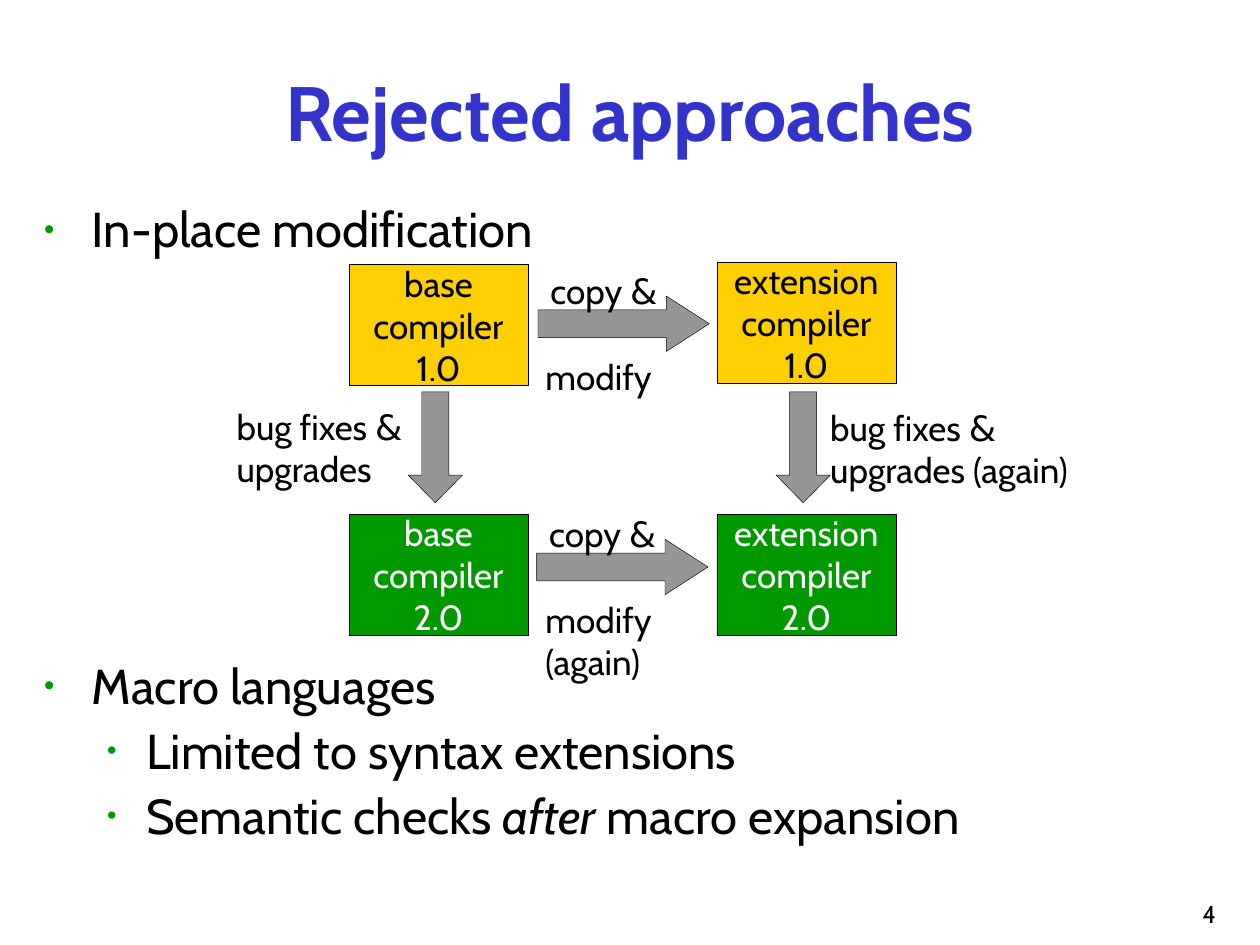
from dataclasses import dataclass
from typing import NamedTuple

from lxml import etree
from pptx import Presentation
from pptx import util as u
from pptx.dml.color import RGBColor
from pptx.enum import shapes, text
from pptx.oxml.ns import qn


@dataclass(frozen=True)
class Theme:
    font: str = "Cabin"
    sign: str = "DejaVu Sans"
    ink: str = "000000"
    pale: str = "FFFFFF"
    head: str = "3333CC"
    gold: str = "FFCF01"
    green: str = "009900"
    gray: str = "969696"
    title: int = 44
    body: int = 28
    label: int = 20
    page: int = 14


class Area(NamedTuple):
    left: float
    top: float
    width: float
    height: float


class Box(NamedTuple):
    left: float
    top: float
    name: str
    mark: str
    fill: str
    ink: str


class Arrow(NamedTuple):
    area: Area
    kind: shapes.MSO_SHAPE
    head: float


class Note(NamedTuple):
    area: Area
    lines: tuple


class Item(NamedTuple):
    runs: tuple
    level: int
    gap: float


T = Theme()
WIDE, HIGH = u.Inches(10), u.Inches(7.5)
LEFT, RIGHT = 27.7, 56.9
LOW = 54.4
RIGHTWARD, DOWNWARD = shapes.MSO_SHAPE.RIGHT_ARROW, shapes.MSO_SHAPE.DOWN_ARROW

BOXES = (
    Box(LEFT, 28, "base", "1.0", T.gold, T.ink),
    Box(RIGHT, 27.73, "extension", "1.0", T.gold, T.ink),
    Box(LEFT, LOW, "base", "2.0", T.green, T.pale),
    Box(RIGHT, LOW, "extension", "2.0", T.green, T.pale),
)
ARROWS = (
    Arrow(Area(42.7, 31.33, 13.6, 5.87), RIGHTWARD, 0.775),
    Arrow(Area(42.6, 57.07, 13.6, 5.87), RIGHTWARD, 0.775),
    Arrow(Area(LEFT + 4.7, 41.47, 4.3, 11.73), DOWNWARD, 0.509),
    Arrow(Area(RIGHT + 4.7, 41.47, 4.3, 11.73), DOWNWARD, 0.509),
)
NOTES = (
    Note(Area(17.8, 42.27, 16.7, 10.27), ("bug fixes &", "upgrades")),
    Note(Area(64.9, 42.4, 24.1, 10.27), ("bug fixes &", "upgrades (again)")),
    Note(Area(42.7, 27.87, 10.9, 5.73), ("copy &",)),
    Note(Area(42.3, 36.93, 11.1, 5.73), ("modify",)),
    Note(Area(42.6, 53.6, 10.9, 5.73), ("copy &",)),
    Note(Area(42.3, 62.67, 11.1, 10.27), ("modify", "(again)")),
)
ITEMS = (
    Item(("In-place modification",), 0, 7),
    Item(("Macro languages",), 0, 230.5),
    Item(("Limited to syntax extensions",), 1, 7),
    Item(("Semantic checks ", "after", " macro expansion"), 1, 7),
)


def place(area: Area) -> tuple:
    return (int(WIDE * area.left / 100), int(HIGH * area.top / 100),
            int(WIDE * area.width / 100), int(HIGH * area.height / 100))


def move(shape, area: Area) -> None:
    shape.left, shape.top, shape.width, shape.height = place(area)


def write(para, words: str, size: int, ink: str = T.ink, font: str = T.font):
    run = para.add_run()
    run.text = words
    run.font.name = font
    run.font.size = u.Pt(size)
    run.font.color.rgb = RGBColor.from_string(ink)
    return run


def fill(frame, lines: tuple, ink: str, align: text.PP_ALIGN) -> None:
    frame.word_wrap = False
    for row, line in enumerate(lines):
        para = frame.add_paragraph() if row else frame.paragraphs[0]
        para.alignment = align
        words, sign, _ = line.partition("&")
        write(para, words, T.label, ink)
        if sign:
            write(para, sign, T.label, ink, T.sign)


def solid(slide, kind: shapes.MSO_SHAPE, area: Area, tint: str):
    shape = slide.shapes.add_shape(kind, *place(area))
    shape.shadow.inherit = False
    shape.fill.solid()
    shape.fill.fore_color.rgb = RGBColor.from_string(tint)
    shape.line.color.rgb = RGBColor.from_string(T.ink)
    shape.line.width = u.Pt(0.25)
    return shape


def draw_box(slide, box: Box) -> None:
    area = Area(box.left, box.top, 14.2, 12.8)
    shape = solid(slide, shapes.MSO_SHAPE.RECTANGLE, area, box.fill)
    shape.text_frame.vertical_anchor = text.MSO_ANCHOR.MIDDLE
    fill(shape.text_frame, (box.name, "compiler", box.mark), box.ink,
         text.PP_ALIGN.CENTER)


def draw_arrow(slide, arrow: Arrow) -> None:
    shape = solid(slide, arrow.kind, arrow.area, T.gray)
    shape.adjustments[0] = 0.5
    shape.adjustments[1] = arrow.head


def draw_note(slide, note: Note) -> None:
    frame = slide.shapes.add_textbox(*place(note.area)).text_frame
    fill(frame, note.lines, T.ink, text.PP_ALIGN.LEFT)
    frame.auto_size = text.MSO_AUTO_SIZE.SHAPE_TO_FIT_TEXT


def bullet(para, level: int) -> None:
    props = para._p.get_or_add_pPr()
    margin, hang, size = ((0.38, 0.38, 60), (0.81, 0.31, 55))[level]
    props.set("marL", str(u.Inches(margin)))
    props.set("indent", str(-u.Inches(hang)))
    tint = etree.SubElement(props, qn("a:buClr"))
    etree.SubElement(tint, qn("a:srgbClr"), val=T.green)
    etree.SubElement(props, qn("a:buSzPct"), val=str(size * 1000))
    etree.SubElement(props, qn("a:buChar"), char="•")


def draw_title(slide) -> None:
    title = slide.shapes.title
    move(title, Area(2.5, 3.33, 95, 16.67))
    title.text_frame.auto_size = text.MSO_AUTO_SIZE.NONE
    title.text_frame.vertical_anchor = text.MSO_ANCHOR.MIDDLE
    para = title.text_frame.paragraphs[0]
    para.alignment = text.PP_ALIGN.CENTER
    write(para, "Rejected approaches", T.title, T.head).font.bold = True


def draw_list(slide) -> None:
    body = slide.placeholders[1]
    move(body, Area(2.5, 21.07, 95, 70))
    frame = body.text_frame
    frame.auto_size = text.MSO_AUTO_SIZE.NONE
    for row, item in enumerate(ITEMS):
        para = frame.add_paragraph() if row else frame.paragraphs[0]
        para.level = item.level
        para.line_spacing = 0.9
        para.space_before = u.Pt(item.gap)
        bullet(para, item.level)
        for words in item.runs:
            write(para, words, T.body).font.italic = words == "after"


def draw_page(slide) -> None:
    frame = slide.shapes.add_textbox(*place(Area(76.7, 92.27, 20.8, 6.67))).text_frame
    frame.word_wrap = True
    frame.vertical_anchor = text.MSO_ANCHOR.BOTTOM
    frame.paragraphs[0].alignment = text.PP_ALIGN.RIGHT
    write(frame.paragraphs[0], "4", T.page)


def main() -> None:
    deck = Presentation()
    deck.slide_width, deck.slide_height = WIDE, HIGH
    slide = deck.slides.add_slide(deck.slide_layouts[1])
    draw_title(slide)
    draw_list(slide)
    for draw, parts in ((draw_box, BOXES), (draw_arrow, ARROWS), (draw_note, NOTES)):
        for part in parts:
            draw(slide, part)
    draw_page(slide)
    deck.save("out.pptx")


if __name__ == "__main__":
    main()
